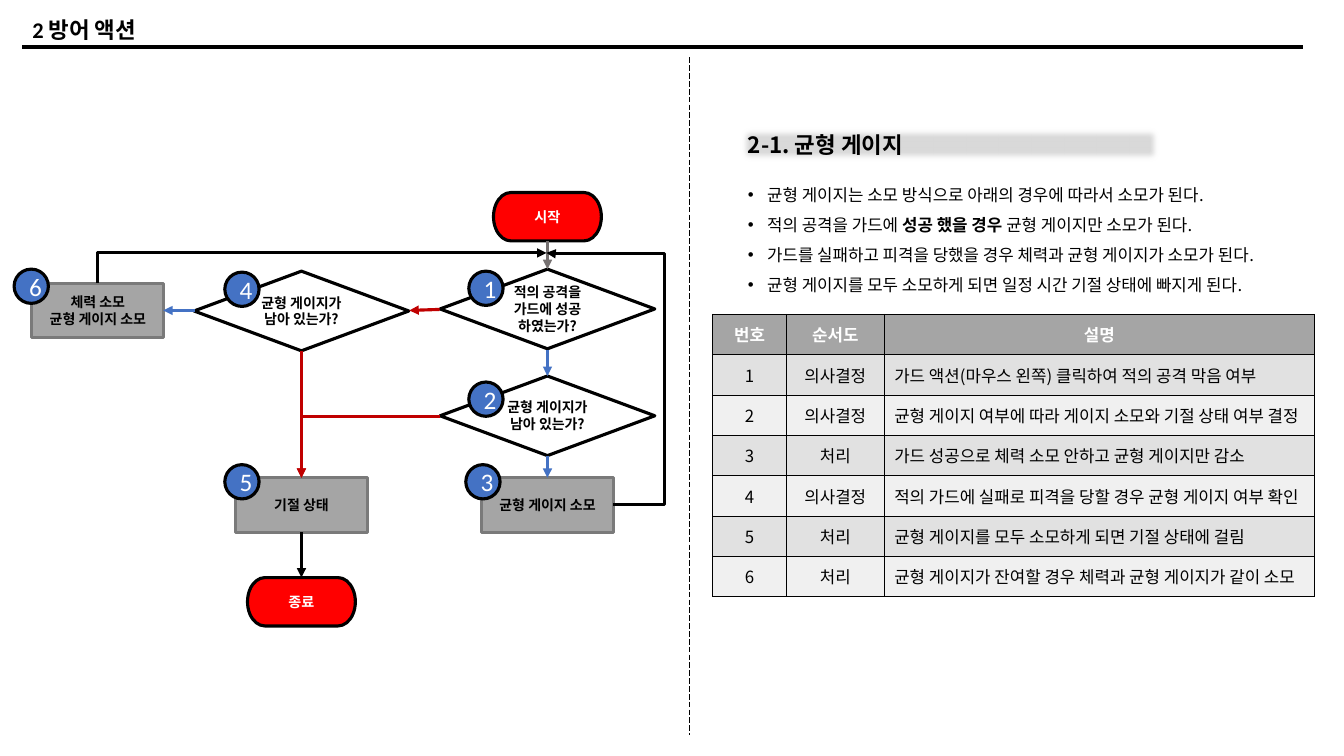
"""Build the defence action slide: a flowchart, bullet notes and a step table."""
from lxml.etree import SubElement
from pptx import Presentation
from pptx.dml.color import RGBColor
from pptx.enum.dml import MSO_LINE
from pptx.enum.shapes import MSO_CONNECTOR as LINK, MSO_SHAPE as SHAPE
from pptx.enum.text import MSO_ANCHOR as ANCHOR, MSO_AUTO_SIZE as FIT, PP_ALIGN as ALIGN
from pptx.oxml.ns import qn
from pptx.util import Inches, Pt

COLORS = {
    "black": "000000", "white": "FFFFFF", "red": "FF0000", "fail": "C00000",
    "blue": "4472C4", "start": "767171", "gray": "A5A5A5", "edge": "7A7A7A",
    "heading": "D9D9D9", "odd": "E1E1E1", "even": "F0F0F0",
}
KOREAN, LATIN = "Noto Sans CJK KR", "Calibri"
RIGHT, LEFT = 5.43, 2.99
TERMINAL, DECISION, PROCESS = (1.07, 0.48), (2.13, 0.79), (1.31, 0.54)
BADGE = 0.34
BADGES = [("1", 4.65, 2.69), ("2", 4.65, 3.79), ("4", 2.23, 2.7),
          ("6", 0.14, 2.67), ("5", 2.23, 4.61), ("3", 4.62, 4.61)]
NOTES = [
    ["균형 게이지는 소모 방식으로 아래의 경우에 따라서 소모가 된다."],
    ["적의 공격을 가드에 ", "성공 했을 경우 ", "균형 게이지만 소모가 된다."],
    ["가드를 실패하고 피격을 당했을 경우 체력과 균형 게이지가 소모가 된다."],
    ["균형 게이지를 모두 소모하게 되면 일정 시간 기절 상태에 빠지게 된다."],
]
STEPS = [
    ("번호", "순서도", "설명"),
    ("1", "의사결정", "가드 액션(마우스 왼쪽) 클릭하여 적의 공격 막음 여부"),
    ("2", "의사결정", "균형 게이지 여부에 따라 게이지 소모와 기절 상태 여부 결정"),
    ("3", "처리", "가드 성공으로 체력 소모 안하고 균형 게이지만 감소"),
    ("4", "의사결정", "적의 가드에 실패로 피격을 당할 경우 균형 게이지 여부 확인"),
    ("5", "처리", "균형 게이지를 모두 소모하게 되면 기절 상태에 걸림"),
    ("6", "처리", "균형 게이지가 잔여할 경우 체력과 균형 게이지가 같이 소모"),
]


def rgb(name):
    """Return the named colour."""
    return RGBColor.from_string(COLORS[name])


def style_span(span, size, color="black", bold=False, font=KOREAN):
    """Format one run, with a Korean face for East Asian letters."""
    span.font.size, span.font.bold, span.font.name = Pt(size), bold, font
    span.font.color.rgb = rgb(color)
    SubElement(span.font._element, qn("a:ea"), typeface=KOREAN)


def style_text(frame, size, color="black", bold=False, font=KOREAN, align=ALIGN.CENTER):
    """Format all the paragraphs of a text frame."""
    for para in frame.paragraphs:
        para.alignment = align
        for span in para.runs:
            style_span(span, size, color, bold, font)


def add_box(slide, kind, place, fill=None, edge=None, text=""):
    """Add a preset shape with its fill, outline and centred text."""
    box = slide.shapes.add_shape(kind, *map(Inches, place))
    box.shadow.inherit = False
    if fill:
        box.fill.solid()
        box.fill.fore_color.rgb = rgb(fill)
    else:
        box.fill.background()
    if edge:
        box.line.color.rgb, box.line.width = rgb(edge), Pt(2.25)
    else:
        box.line.fill.background()
    box.text_frame.text = text
    box.text_frame.vertical_anchor = ANCHOR.MIDDLE
    return box


def add_node(slide, kind, size, center, top, text, fill=None, edge="black", color="black", points=10):
    """Add a flowchart node centred on a column."""
    width, height = size
    node = add_box(slide, kind, (center - width / 2, top, width, height), fill, edge, text)
    style_text(node.text_frame, points, color, True)


def add_line(slide, start, end, color="black", width=2.25, arrow=True, kind=LINK.STRAIGHT):
    """Add a connector, by default with an arrowhead at its end."""
    line = slide.shapes.add_connector(kind, *map(Inches, (*start, *end)))
    line.line.color.rgb, line.line.width = rgb(color), Pt(width)
    if arrow:
        SubElement(line.line._get_or_add_ln(), qn("a:tailEnd"), type="triangle")
    SubElement(line._element.spPr, qn("a:effectLst"))
    return line


def add_elbow(slide, start, end, color="black", preset="bentConnector2", adjust=(), upright=False):
    """Add a bent arrow; an upright one leaves its start vertically."""
    if upright:
        middle_x, middle_y = (start[0] + end[0]) / 2, (start[1] + end[1]) / 2
        start, end = [(middle_x + y - middle_y, middle_y - x + middle_x) for x, y in (start, end)]
    elbow = add_line(slide, start, end, color, kind=LINK.ELBOW)
    if upright:
        elbow._element.spPr.find(qn("a:xfrm")).set("rot", "5400000")
    shape = elbow._element.spPr.find(qn("a:prstGeom"))
    shape.set("prst", preset)
    for number, value in enumerate(adjust, 1):
        SubElement(shape.find(qn("a:avLst")), qn("a:gd"), name=f"adj{number}", fmla=f"val {value}")


def add_title(slide):
    """Fill the title and draw the rules that divide the page."""
    title = slide.shapes.title
    title.left, title.top, title.width, title.height = map(Inches, (0.22, 0.11, 1.32, 0.37))
    frame = title.text_frame
    frame.text = "2 방어 액션"
    frame.word_wrap, frame.auto_size = False, FIT.NONE
    frame.vertical_anchor = ANCHOR.TOP
    style_text(frame, 16, bold=True, font=LATIN, align=ALIGN.LEFT)
    add_line(slide, (0.22, 0.47), (12.92, 0.47), width=3, arrow=False)
    divider = add_line(slide, (6.84, 0.57), (6.84, 7.29), width=0.5, arrow=False)
    divider.line.dash_style = MSO_LINE.LONG_DASH


def add_flowchart(slide):
    """Draw the nodes, arrows and numbered badges."""
    for center, top, text in ((RIGHT, 1.91, "시작"), (LEFT, 5.73, "종료")):
        add_node(slide, SHAPE.FLOWCHART_TERMINATOR, TERMINAL, center, top, text, "red", color="white", points=10.1)
    for center, top, text in ((RIGHT, 2.67, "적의 공격을 가드에 성공 하였는가?"),
                              (RIGHT, 3.73, "균형 게이지가 남아 있는가?"),
                              (LEFT, 2.69, "균형 게이지가 남아 있는가?")):
        add_node(slide, SHAPE.FLOWCHART_DECISION, DECISION, center, top, text)
    for center, top, text in ((RIGHT, 4.74, "균형 게이지 소모"), (LEFT, 4.74, "기절 상태"),
                              (0.97, 2.81, "체력 소모\n균형 게이지 소모")):
        add_node(slide, SHAPE.RECTANGLE, PROCESS, center, top, text, "gray", "edge")
    for start, end, color in (((RIGHT, 2.39), (RIGHT, 2.67), "start"),
                              ((RIGHT, 3.47), (RIGHT, 3.73), "blue"),
                              ((RIGHT, 4.52), (RIGHT, 4.74), "blue"),
                              ((4.36, 3.07), (4.06, 3.08), "fail"),
                              ((1.93, 3.08), (1.62, 3.08), "blue"),
                              ((LEFT, 3.48), (LEFT, 4.74), "fail"),
                              ((LEFT, 5.28), (LEFT, 5.73), "black")):
        add_line(slide, start, end, color)
    add_elbow(slide, (4.36, 4.13), (LEFT, 4.74), "fail")
    add_elbow(slide, (6.08, 5.01), (5.42, 2.51), preset="bentConnector4", adjust=(-78100, 99700))
    add_elbow(slide, (0.97, 2.81), (5.42, 2.51), upright=True)
    for number, left, top in BADGES:
        badge = add_box(slide, SHAPE.OVAL, (left, top, BADGE, BADGE), "blue", "black", number)
        style_text(badge.text_frame, 18, "white", font=LATIN)


def add_notes(slide):
    """Add the soft-edged heading and its bullet list."""
    heading = add_box(slide, SHAPE.RECTANGLE, (7.32, 1.25, 4.2, 0.37), "heading", text="2-1. 균형 게이지")
    style_text(heading.text_frame, 16, bold=True, align=ALIGN.LEFT)
    SubElement(heading._element.spPr.find(qn("a:effectLst")), qn("a:softEdge"), rad="63500")
    frame = slide.shapes.add_textbox(*map(Inches, (7.32, 1.68, 5.69, 1.28))).text_frame
    frame.word_wrap = True
    for index, note in enumerate(NOTES):
        para = frame.add_paragraph() if index else frame.paragraphs[0]
        para.line_spacing = 1.5
        layout = para._p.get_or_add_pPr()
        layout.set("marL", str(Inches(0.19)))
        layout.set("indent", str(-Inches(0.19)))
        SubElement(layout, qn("a:buFont"), typeface="Arial")
        SubElement(layout, qn("a:buChar"), char="•")
        for part, text in enumerate(note):
            span = para.add_run()
            span.text = text
            style_span(span, 12, bold=part == 1)


def style_cell(cell, fill):
    """Give a cell black borders and a fill."""
    for side in ("lnL", "lnR", "lnT", "lnB"):
        border = SubElement(cell._tc.get_or_add_tcPr(), qn(f"a:{side}"), w=str(Pt(1)))
        SubElement(SubElement(border, qn("a:solidFill")), qn("a:srgbClr"), val=COLORS["black"])
    cell.fill.solid()
    cell.fill.fore_color.rgb = rgb(fill)
    cell.vertical_anchor = ANCHOR.MIDDLE


def add_step_table(slide):
    """Add the table that explains the numbered steps."""
    place = map(Inches, (7.07, 3.12, 5.97, 0.4 * len(STEPS)))
    table = slide.shapes.add_table(len(STEPS), 3, *place).table
    for column, width in zip(table.columns, (0.73, 0.97, 4.27)):
        column.width = Inches(width)
    for row, step in enumerate(STEPS):
        fill = ("odd" if row % 2 else "even") if row else "gray"
        for column, text in enumerate(step):
            cell = table.cell(row, column)
            cell.text = text
            style_cell(cell, fill)
            align = ALIGN.LEFT if row and column == 2 else ALIGN.CENTER
            style_text(cell.text_frame, 12, "black" if row else "white", not row, align=align)


def main():
    """Build and save the deck."""
    deck = Presentation()
    deck.slide_width, deck.slide_height = Inches(13.33), Inches(7.5)
    page = deck.slides.add_slide(deck.slide_layouts[5])
    add_title(page)
    add_flowchart(page)
    add_notes(page)
    add_step_table(page)
    deck.save("out.pptx")


main()
